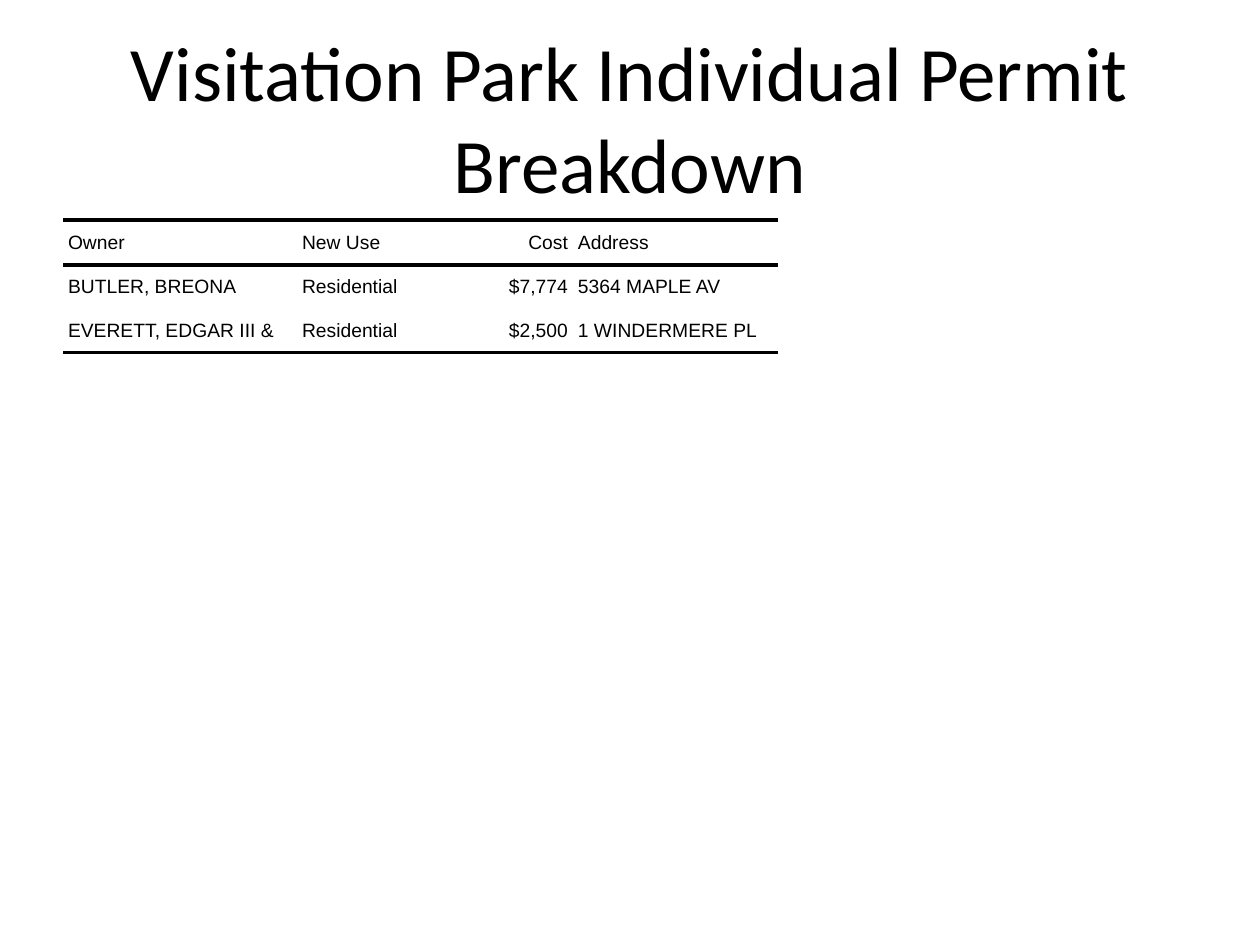
from dataclasses import dataclass

from lxml.etree import SubElement
from pptx import Presentation
from pptx.dml.color import RGBColor
from pptx.enum.text import MSO_ANCHOR, MSO_AUTO_SIZE, PP_ALIGN
from pptx.oxml.ns import qn
from pptx.util import Pt

TITLE = "Visitation Park Individual Permit Breakdown"
ROWS = [
    ("Owner", "New Use", "Cost", "Address"),
    ("BUTLER, BREONA", "Residential", "$7,774", "5364 MAPLE AV"),
    ("EVERETT, EDGAR III &", "Residential", "$2,500", "1 WINDERMERE PL"),
]
ALIGNS = (PP_ALIGN.LEFT, PP_ALIGN.LEFT, PP_ALIGN.RIGHT, PP_ALIGN.LEFT)
WIDTHS = (234, 122, 154, 205)
HEIGHTS = (45, 44, 44)
INDENT = 5
SCALE = 914400 // 126


@dataclass(frozen=True)
class Theme:
    ink: str = "000000"
    head: str = "Calibri"
    body: str = "Arial"
    big: int = 44
    small: int = 11
    rule: int = 2


THEME = Theme()


def px(size):
    return size * SCALE


def style(font, face, size):
    font.name = face
    font.size = Pt(size)
    font.bold = False
    font.color.rgb = RGBColor.from_string(THEME.ink)


def add_edges(cell, ruled):
    props = cell._tc.get_or_add_tcPr()
    for side in ("lnL", "lnR", "lnT", "lnB"):
        line = SubElement(props, qn(f"a:{side}"))
        if side in ruled:
            line.set("w", str(Pt(THEME.rule)))
            fill = SubElement(line, qn("a:solidFill"))
            SubElement(fill, qn("a:srgbClr"), val=THEME.ink)
        else:
            line.set("w", "0")
            SubElement(line, qn("a:noFill"))


def fill_cell(cell, text, align, ruled):
    add_edges(cell, ruled)
    cell.fill.background()
    cell.margin_left = cell.margin_right = 0
    cell.margin_top = cell.margin_bottom = 0
    cell.vertical_anchor = MSO_ANCHOR.MIDDLE
    para = cell.text_frame.paragraphs[0]
    para.text = text
    para.alignment = align
    props = para._p.get_or_add_pPr()
    for side in ("marL", "marR"):
        props.set(side, str(px(INDENT)))
    style(para.runs[0].font, THEME.body, THEME.small)


def add_title(slide):
    title = slide.shapes.title
    title.left, title.top = px(63), px(38)
    title.width, title.height = px(1134), px(157)
    frame = title.text_frame
    frame.text = TITLE
    frame.word_wrap = True
    frame.auto_size = MSO_AUTO_SIZE.NONE
    frame.vertical_anchor = MSO_ANCHOR.MIDDLE
    para = frame.paragraphs[0]
    para.alignment = PP_ALIGN.CENTER
    style(para.runs[0].font, THEME.head, THEME.big)


def add_permits(slide):
    table = slide.shapes.add_table(
        len(ROWS), len(WIDTHS), px(63), px(220), px(sum(WIDTHS)), px(sum(HEIGHTS))
    ).table
    table.first_row = table.horz_banding = False
    for col, width in zip(table.columns, WIDTHS):
        col.width = px(width)
    for row, height in zip(table.rows, HEIGHTS):
        row.height = px(height)
    rules = [("lnT", "lnB"), ("lnT",), ("lnB",)]
    for row, texts, ruled in zip(table.rows, ROWS, rules):
        for cell, text, align in zip(row.cells, texts, ALIGNS):
            fill_cell(cell, text, align, ruled)


def main():
    deck = Presentation()
    deck.slide_width, deck.slide_height = px(1260), px(945)
    slide = deck.slides.add_slide(deck.slide_layouts[5])
    add_title(slide)
    add_permits(slide)
    deck.save("out.pptx")


if __name__ == "__main__":
    main()
